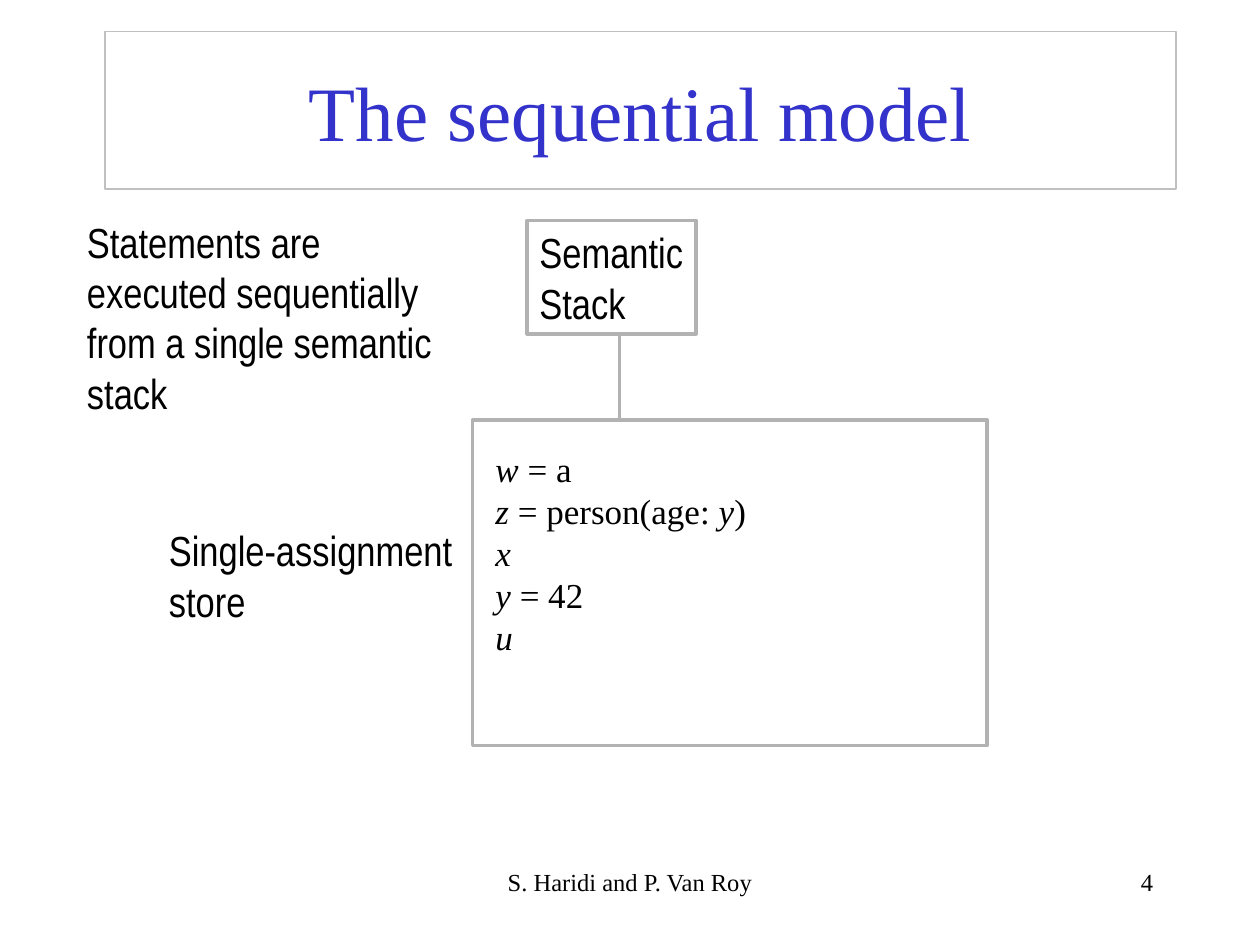
from lxml.etree import SubElement
from pptx import Presentation
from pptx.dml.color import RGBColor
from pptx.enum.shapes import MSO_CONNECTOR, MSO_SHAPE
from pptx.enum.text import MSO_ANCHOR, PP_ALIGN
from pptx.oxml.ns import qn
from pptx.util import Inches, Pt

CELL = Inches(1) // 12  # the slide is a grid of 120 columns and 90 rows
COLS, ROWS = 120, 90

BLACK = RGBColor(0x00, 0x00, 0x00)
BLUE = RGBColor(0x33, 0x33, 0xCC)
SILVER = RGBColor(0xC0, 0xC0, 0xC0)
GRAY = RGBColor(0xB2, 0xB2, 0xB2)
SERIF = "Times New Roman"
NARROW = "Arial Narrow"


def cells(*counts):
    return [round(n * CELL) for n in counts]


def add_frame(s, box, color=GRAY, width=2):
    sp = s.shapes.add_shape(MSO_SHAPE.RECTANGLE, *cells(*box))
    sp.shadow.inherit = False
    sp.fill.background()
    sp.line.color.rgb = color
    sp.line.width = Pt(width)
    return sp


def add_text_box(s, box):
    return s.shapes.add_textbox(*cells(*box))


def write(sp, lines, font, size, color=BLACK, align=PP_ALIGN.LEFT,
          anchor=MSO_ANCHOR.TOP, wrap=True):
    """Fill a shape with lines, each a list of (text, italic) runs."""
    tf = sp.text_frame
    tf.word_wrap = wrap
    tf.vertical_anchor = anchor
    for i, runs in enumerate(lines):
        p = tf.add_paragraph() if i else tf.paragraphs[0]
        p.alignment = align
        for text, italic in runs:
            r = p.add_run()
            r.text = text
            r.font.name = font
            r.font.size = Pt(size)
            r.font.italic = italic
            r.font.color.rgb = color


def plain(*lines):
    return [[(line, False)] for line in lines]


def add_title(s, box):
    write(add_frame(s, box, SILVER, 0.75), plain("The sequential model"),
          SERIF, 44, BLUE, PP_ALIGN.CENTER, MSO_ANCHOR.MIDDLE)


def add_label(s, box, *lines):
    write(add_text_box(s, box), plain(*lines), NARROW, 24, wrap=False)


def add_stack(s, box):
    write(add_frame(s, box), plain("Semantic", "Stack"), NARROW, 24, wrap=False)


def add_store(s, box):
    x, y, w, h = box
    add_frame(s, box)
    bindings = [
        [("w ", True), ("= a", False)],
        [("z", True), (" = person(age: ", False), ("y", True), (")", False)],
        [("x", True)],
        [("y ", True), ("= 42", False)],
        [("u", True)],
    ]
    write(add_text_box(s, (x + 1, y + 2, 27.2, 21.2)), bindings, SERIF, 20)


def add_link(s, x, top, bottom):
    """Draw the vertical line from the stack to the store."""
    line = s.shapes.add_connector(MSO_CONNECTOR.STRAIGHT,
                                  *cells(x, top, x, bottom))
    line.line.color.rgb = GRAY
    line.line.width = Pt(2)
    SubElement(line._element.spPr, qn("a:effectLst"))


def add_footer(s, box):
    x, y, w, h = box
    write(add_text_box(s, (x, y, 38, h)), plain("S. Haridi and P. Van Roy"),
          SERIF, 14, align=PP_ALIGN.CENTER)
    write(add_text_box(s, (x + w - 25, y, 25, h)), plain("4"),
          SERIF, 14, align=PP_ALIGN.RIGHT)


def main():
    prs = Presentation()
    prs.slide_width, prs.slide_height = cells(COLS, ROWS)
    s = prs.slides.add_slide(prs.slide_layouts[6])

    add_title(s, (10, 3, 102, 15))
    add_store(s, (45, 40, 49, 31))
    add_label(s, (14.9, 49.4, 29.4, 10.8), "Single-assignment", "store")
    add_stack(s, (50.2, 21, 16.1, 10.8))
    add_link(s, 59, 32, 40)
    add_label(s, (7.1, 20, 35.2, 20.4), "Statements are",
              "executed sequentially", "from a single semantic", "stack")
    add_footer(s, (41, 82, 70, 6))

    prs.save("out.pptx")


if __name__ == "__main__":
    main()
